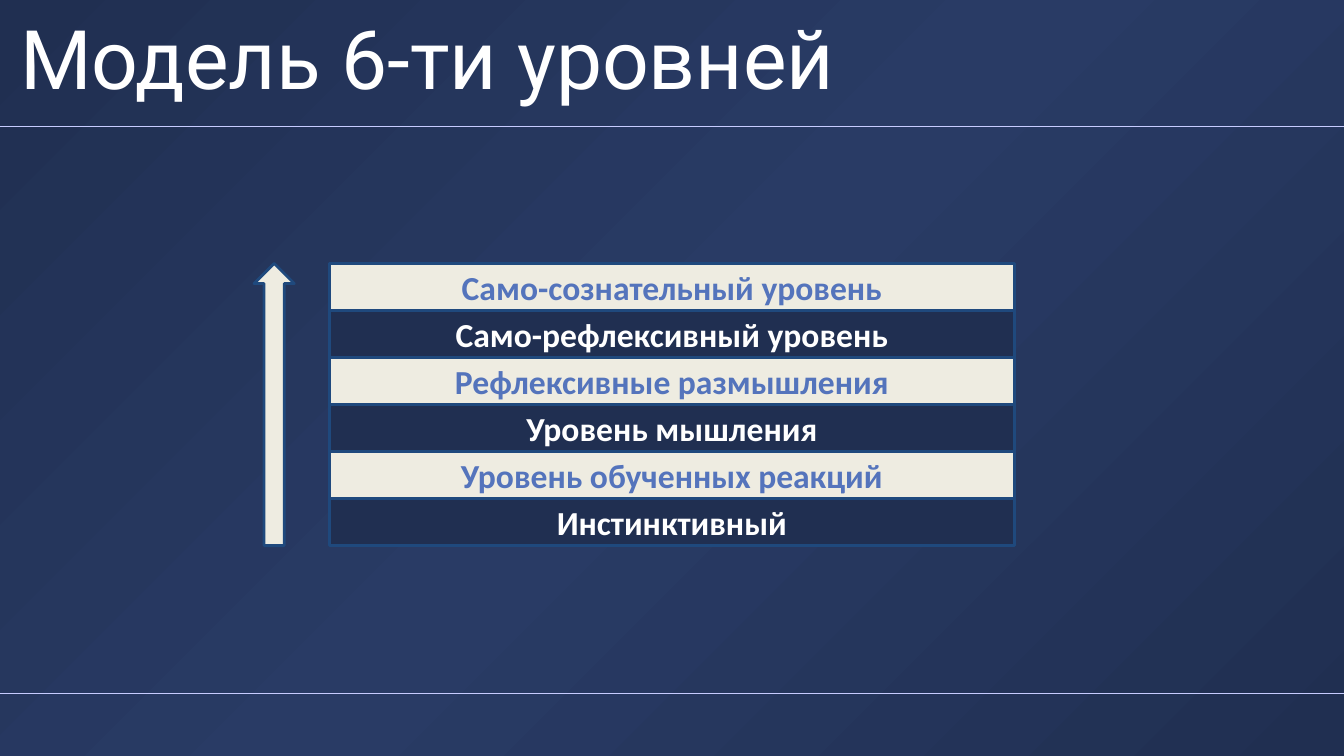
import copy

import pptx
import pptx.dml.color
import pptx.enum.shapes
import pptx.enum.text
import pptx.oxml.ns
import pptx.util
from lxml import etree

COLORS = {
    "navy": "202F51",
    "indigo": "293B65",
    "rule": "C7CCFF",
    "cream": "EEECE1",
    "border": "1F497D",
    "blue": "5474BC",
    "white": "FFFFFF",
}
Inches, Pt = pptx.util.Inches, pptx.util.Pt
MSO_SHAPE = pptx.enum.shapes.MSO_SHAPE
ANCHOR = pptx.enum.text.MSO_ANCHOR
qn = pptx.oxml.ns.qn


def rgb(name):
    return pptx.dml.color.RGBColor.from_string(COLORS[name])


def write(shape, text, font, size, color, anchor, align, bold=False):
    frame = shape.text_frame
    frame.word_wrap = True
    frame.vertical_anchor = anchor
    frame.margin_left = frame.margin_right = Inches(0.07)
    frame.margin_top = frame.margin_bottom = Inches(0.07)
    paragraph = frame.paragraphs[0]
    paragraph.alignment = align
    run = paragraph.add_run()
    run.text = text
    run.font.name = font
    run.font.size = Pt(size)
    run.font.bold = bold
    run.font.color.rgb = rgb(color)


# Slide in 16:9
deck = pptx.Presentation()
deck.slide_width = Inches(10)
deck.slide_height = deck.slide_width * 9 // 16
slide = deck.slides.add_slide(deck.slide_layouts[6])

# Background: diagonal gradient, lighter in the middle
background = slide.background.fill
background.gradient()
background.gradient_angle = 315
stop_list = slide.element.find(".//" + qn("a:gsLst"))
stop_list.insert(1, copy.deepcopy(stop_list[0]))
for stop, position, color in zip(
    background.gradient_stops, (0, 0.5, 1), ("navy", "indigo", "navy")
):
    stop.position = position
    stop.color.rgb = rgb(color)

# Rules under the title and above the footer
for rule_y in (0.94, 5.16):
    rule = slide.shapes.add_connector(
        pptx.enum.shapes.MSO_CONNECTOR.STRAIGHT,
        0, Inches(rule_y), deck.slide_width, Inches(rule_y),
    )
    rule.line.color.rgb = rgb("rule")
    rule.line.width = Pt(0.5)
    etree.SubElement(rule._element.spPr, qn("a:effectLst"))

# Title
title = slide.shapes.add_textbox(Inches(0.08), Inches(0.08), Inches(9.84), Inches(0.78))
write(title, "Модель 6-ти уровней", "Roboto", 44, "white", ANCHOR.BOTTOM,
      pptx.enum.text.PP_ALIGN.LEFT)

# Stack of levels, highest first, in alternating colours
levels = [
    "Само-сознательный уровень",
    "Само-рефлексивный уровень",
    "Рефлексивные размышления",
    "Уровень мышления",
    "Уровень обученных реакций",
    "Инстинктивный",
]
schemes = [("cream", "blue"), ("navy", "white")]
stack_left, stack_top, stack_width = Inches(2.45), Inches(1.96), Inches(5.1)
row_height = Inches(0.35)
stack_height = row_height * len(levels)
outlined = []
for row, level_name in enumerate(levels):
    fill_color, text_color = schemes[row % 2]
    level = slide.shapes.add_shape(
        MSO_SHAPE.RECTANGLE, stack_left, stack_top + row * row_height,
        stack_width, row_height,
    )
    write(level, level_name, "Calibri", 18, text_color, ANCHOR.MIDDLE,
          pptx.enum.text.PP_ALIGN.CENTER, bold=True)
    outlined.append((level, fill_color))

# Upward arrow as tall as the stack, turned about its centre
arrow_center, arrow_width = Inches(2.04), Inches(0.3)
ascent = slide.shapes.add_shape(
    MSO_SHAPE.RIGHT_ARROW,
    arrow_center - stack_height // 2,
    stack_top + (stack_height - arrow_width) // 2,
    stack_height, arrow_width,
)
ascent.rotation = 270
outlined.append((ascent, "cream"))

# Shared fill and outline
for part, fill_color in outlined:
    part.shadow.inherit = False
    part.fill.solid()
    part.fill.fore_color.rgb = rgb(fill_color)
    part.line.color.rgb = rgb("border")
    part.line.width = Pt(1.5)

deck.save("out.pptx")
